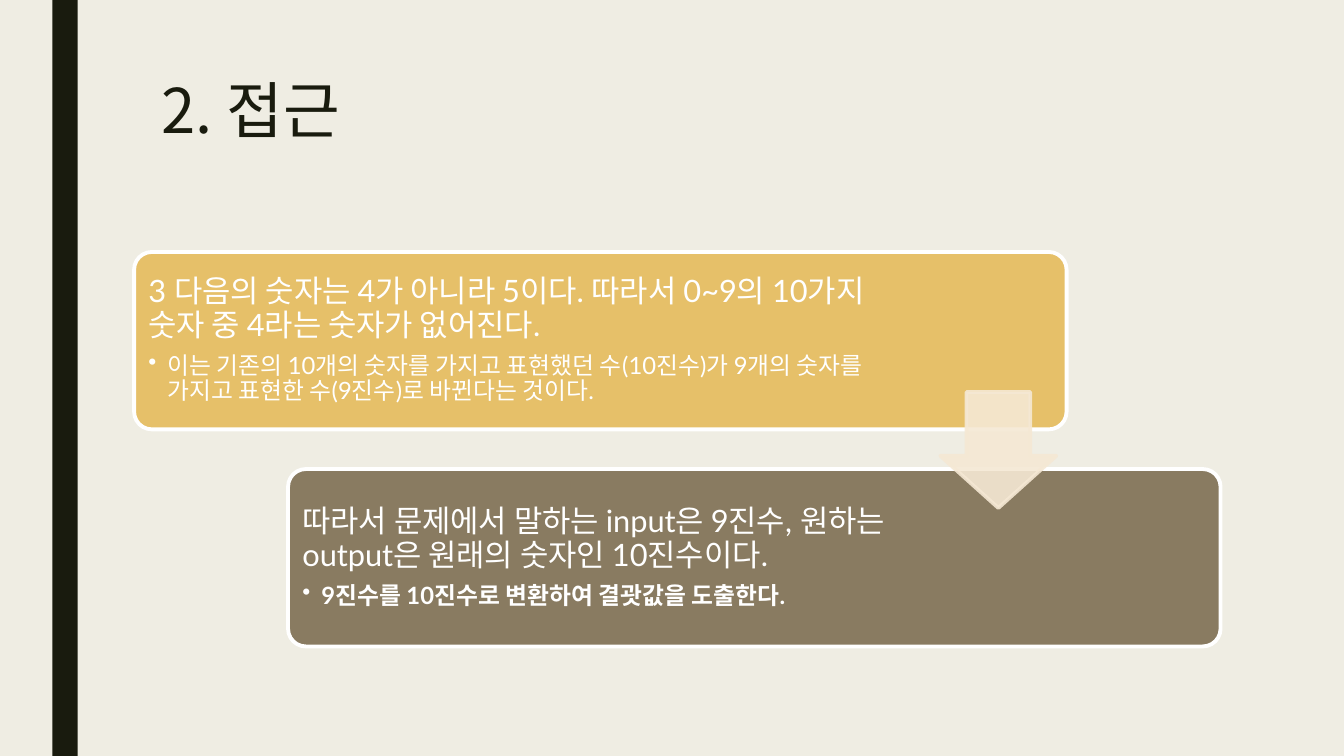
from typing import NamedTuple

from lxml.etree import SubElement
from pptx import Presentation
from pptx.dml.color import RGBColor
from pptx.enum.shapes import MSO_SHAPE as Preset
from pptx.enum.text import MSO_ANCHOR as Anchor, MSO_AUTO_SIZE as AutoSize, PP_ALIGN as Align
from pptx.oxml.ns import qn
from pptx.util import Cm, Pt

LATIN_FONT = "Lato"
KOREAN_FONT = "Noto Sans CJK KR"
INK, PAPER, WHITE, ARROW_TINT = "191B0E", "EFEDE3", "FFFFFF", "F5E8D4"
CARD_WIDTH, CARD_HEIGHT = 23.5, 4.47
CARD_PADDING = 0.13
TEXT_INSET = Cm(0.23)
BULLET_INDENT = Cm(0.48)


class Step(NamedTuple):
    left: float
    top: float
    text_width: float
    color: str
    statement: str
    detail: str
    detail_bold: bool


STEPS = [
    Step(3.38, 6.35, 18.85, "E6C069",
         "3 다음의 숫자는 4가 아니라 5이다. 따라서 0~9의 10가지 숫자 중 4라는 숫자가 없어진다.",
         "이는 기존의 10개의 숫자를 가지고 표현했던 수(10진수)가 9개의 숫자를 가지고 "
         "표현한 수(9진수)로 바뀐다는 것이다.", False),
    Step(7.26, 11.82, 16.18, "897B61",
         "따라서 문제에서 말하는 input은 9진수, 원하는 output은 원래의 숫자인 10진수이다.",
         "9진수를 10진수로 변환하여 결괏값을 도출한다.", True),
]


def paint(color_format, color: str) -> None:
    color_format.rgb = RGBColor.from_string(color)


def fill_with(fill, color: str) -> None:
    fill.solid()
    paint(fill.fore_color, color)


def format_paragraph(paragraph, size: float, latin: str, color: str,
                     spacing: float, after: float = 0, bold: bool = False) -> None:
    paragraph.alignment = Align.LEFT
    paragraph.line_spacing = spacing
    paragraph.space_before = Pt(0)
    paragraph.space_after = Pt(after)
    font = paragraph.font
    font.size, font.name, font.bold = Pt(size), latin, bold
    paint(font.color, color)
    # East Asian typeface for the Korean text
    SubElement(font._element, qn("a:ea"), typeface=KOREAN_FONT)


def add_bullet(paragraph) -> None:
    paragraph.level = 1
    properties = paragraph._p.get_or_add_pPr()
    properties.set("marL", str(BULLET_INDENT))
    properties.set("indent", str(-BULLET_INDENT))
    bullet = SubElement(properties, qn("a:buChar"), char="•")
    properties.find(qn("a:defRPr")).addprevious(bullet)


def add_panel(slide, preset: Preset, left: float, top: float, width: float,
              height: float, color: str, outline: str = "",
              adjustments: tuple[float, ...] = ()):
    panel = slide.shapes.add_shape(preset, Cm(left), Cm(top), Cm(width), Cm(height))
    panel.shadow.inherit = False
    fill_with(panel.fill, color)
    if outline:
        fill_with(panel.line.fill, outline)
        panel.line.width = Pt(2.75)
    else:
        panel.line.fill.background()
    for index, value in enumerate(adjustments):
        panel.adjustments[index] = value
    return panel


def add_step(slide, step: Step) -> None:
    add_panel(slide, Preset.ROUNDED_RECTANGLE, step.left, step.top,
              CARD_WIDTH, CARD_HEIGHT, step.color, WHITE, (0.1,))
    explanation = slide.shapes.add_textbox(
        Cm(step.left + CARD_PADDING), Cm(step.top + CARD_PADDING),
        Cm(step.text_width), Cm(CARD_HEIGHT - 2 * CARD_PADDING)).text_frame
    explanation.word_wrap = True
    explanation.vertical_anchor = Anchor.MIDDLE
    explanation.margin_left = explanation.margin_right = TEXT_INSET
    explanation.margin_top = explanation.margin_bottom = TEXT_INSET

    statement = explanation.paragraphs[0]
    statement.text = step.statement
    format_paragraph(statement, 22, LATIN_FONT, WHITE, 0.9, after=7.7)
    detail = explanation.add_paragraph()
    detail.text = step.detail
    format_paragraph(detail, 17, LATIN_FONT, WHITE, 0.9, after=2.55,
                     bold=step.detail_bold)
    add_bullet(detail)


def main() -> None:
    presentation = Presentation()
    presentation.slide_width, presentation.slide_height = Cm(33.87), Cm(19.05)
    slide = presentation.slides.add_slide(presentation.slide_layouts[5])

    # Background and side bar
    fill_with(slide.background.fill, PAPER)
    add_panel(slide, Preset.RECTANGLE, 1.32, 0, 0.64, 19.05, INK)

    # Title
    title = slide.shapes.title
    title.left, title.top, title.width, title.height = Cm(3.81), Cm(1.9), Cm(26.67), Cm(4.11)
    heading = title.text_frame
    heading.text = "2. 접근"
    heading.vertical_anchor = Anchor.TOP
    heading.auto_size = AutoSize.NONE
    format_paragraph(heading.paragraphs[0], 44, KOREAN_FONT, INK, 0.89)

    # Two reasoning steps
    for step in STEPS:
        add_step(slide, step)

    # Translucent arrow from the first step to the second
    arrow = add_panel(slide, Preset.DOWN_ARROW, 23.7, 9.88, 2.92, 2.92,
                      ARROW_TINT, ARROW_TINT, (0.55, 0.45))
    for color in arrow._element.spPr.iter(qn("a:srgbClr")):
        SubElement(color, qn("a:alpha"), val="90000")

    presentation.save("out.pptx")


if __name__ == "__main__":
    main()
